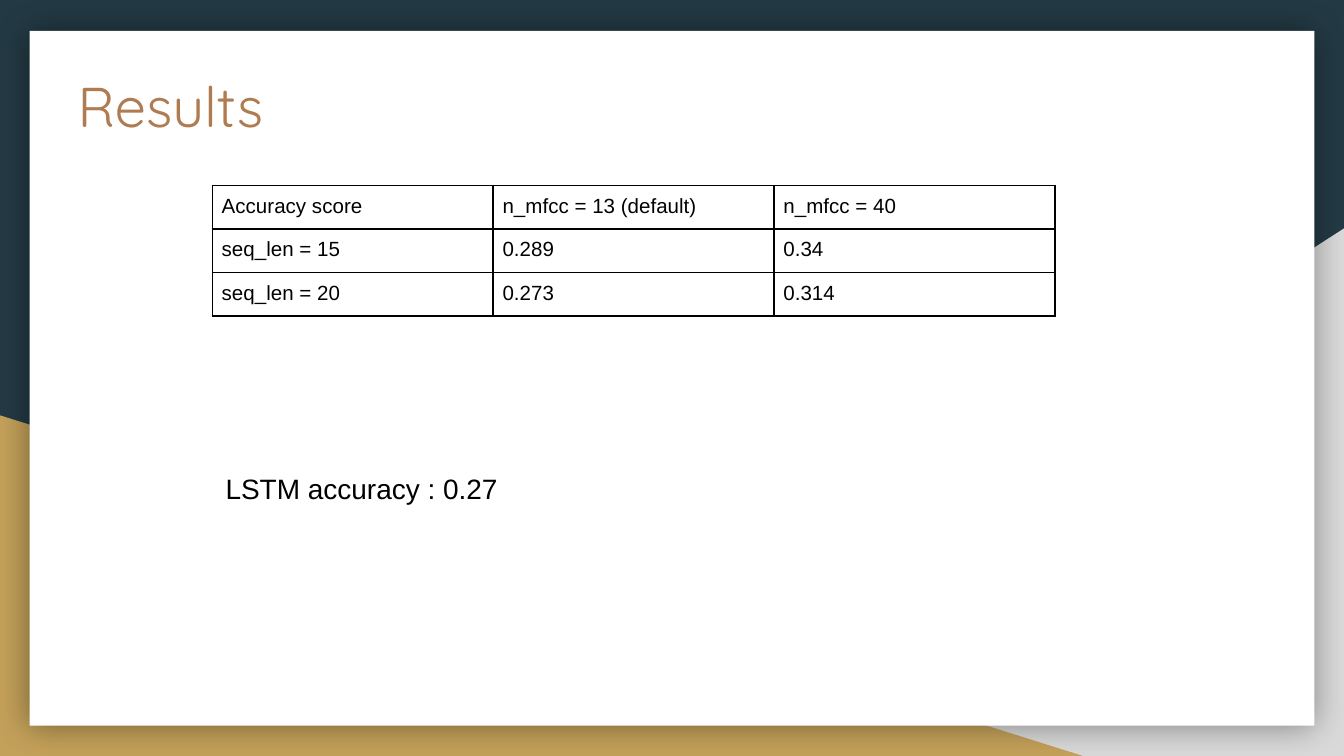
import lxml.etree
import pptx
import pptx.dml.color
import pptx.enum.shapes
import pptx.enum.text
import pptx.oxml
import pptx.oxml.ns
import pptx.util

Inches = pptx.util.Inches
Shape = pptx.enum.shapes.MSO_SHAPE
DRAWING = pptx.oxml.ns.nsdecls("a")
ROWS = [
    ["Accuracy score", "n_mfcc = 13 (default)", "n_mfcc = 40"],
    ["seq_len = 15", "0.289", "0.34"],
    ["seq_len = 20", "0.273", "0.314"],
]


def color(value):
    """Turn a hex string into a color."""
    return pptx.dml.color.RGBColor.from_string(value)


def style_run(run, size, font, value):
    """Set the size, typeface and color of a run."""
    run.font.size = pptx.util.Pt(size)
    run.font.name = font
    run.font.color.rgb = color(value)


def add_panel(page, kind, place, value):
    """Add a filled shape without outline or shadow."""
    panel = page.shapes.add_shape(kind, *map(Inches, place))
    panel.shadow.inherit = False
    panel.fill.solid()
    panel.fill.fore_color.rgb = color(value)
    panel.line.fill.background()
    return panel


def add_glow_shadow(panel, blur, opacity):
    """Give a shape a soft black shadow on all sides."""
    effects = panel._element.spPr.find(pptx.oxml.ns.qn("a:effectLst"))
    effects.append(pptx.oxml.parse_xml(
        f'<a:outerShdw {DRAWING} blurRad="{pptx.util.Pt(blur)}" dist="0" dir="0" '
        f'algn="ctr" rotWithShape="0"><a:srgbClr val="000000">'
        f'<a:alpha val="{opacity * 1000}"/></a:srgbClr></a:outerShdw>'))


def add_text(page, place, text, size, font, value):
    """Add a wrapping one-line text box and return its paragraph."""
    frame = page.shapes.add_textbox(*map(Inches, place)).text_frame
    frame.word_wrap = True
    frame.text = text
    frame.margin_left = frame.margin_right = Inches(0.1)
    frame.margin_top = frame.margin_bottom = Inches(0.1)
    frame.vertical_anchor = pptx.enum.text.MSO_ANCHOR.TOP
    style_run(frame.paragraphs[0].runs[0], size, font, value)
    return frame.paragraphs[0]


def add_borders(cell, value, width):
    """Draw a solid line on each side of a table cell."""
    properties = cell._tc.get_or_add_tcPr()
    for index, side in enumerate(("lnL", "lnR", "lnT", "lnB")):
        properties.insert(index, pptx.oxml.parse_xml(
            f'<a:{side} {DRAWING} w="{pptx.util.Pt(width)}"><a:solidFill>'
            f'<a:srgbClr val="{value}"/></a:solidFill></a:{side}>'))


def add_score_table(page, left, top, column_width, row_height):
    """Add the bordered score table, whose rows grow to fit their text."""
    columns = len(ROWS[0])
    table = page.shapes.add_table(
        len(ROWS), columns, Inches(left), Inches(top),
        Inches(column_width * columns), Inches(row_height * len(ROWS))).table
    table.first_row = False
    table.horz_banding = False
    for row, texts in enumerate(ROWS):
        for column, text in enumerate(texts):
            cell = table.cell(row, column)
            cell.fill.background()
            cell.margin_left = cell.margin_right = Inches(0.07)
            cell.margin_top = cell.margin_bottom = Inches(0.07)
            cell.text_frame.text = text
            style_run(cell.text_frame.paragraphs[0].runs[0], 11, "Arial", "000000")
            add_borders(cell, "000000", 1)


def main():
    """Build the results slide."""
    deck = pptx.Presentation()
    deck.slide_width = Inches(10)
    deck.slide_height = Inches(10) * 9 // 16
    page = deck.slides.add_slide(deck.slide_layouts[6])
    page.background.fill.solid()
    page.background.fill.fore_color.rgb = color("233A44")

    gray_corner = add_panel(page, Shape.RIGHT_TRIANGLE, (3.92, 1.7, 6.08, 3.92), "D9D9D9")
    gray_corner._element.spPr.xfrm.set("flipH", "1")
    add_panel(page, Shape.RIGHT_TRIANGLE, (0, 3.09, 8.06, 2.53), "C4A15A")
    for corner in list(page.shapes):
        corner.height = deck.slide_height - corner.top
    card = add_panel(page, Shape.RECTANGLE, (0.22, 0.23, 9.56, 5.17), "FFFFFF")
    add_glow_shadow(card, 18, 40)

    add_text(page, (0.48, 0.43, 8.21, 1.04), "Results", 30, "Quicksand", "AF7B51")
    add_score_table(page, 1.58, 1.38, 2.09, 0.01)
    accuracy = add_text(page, (1.58, 3.37, 4.67, 0.45), "LSTM accuracy : 0.27",
                        15, "Arial", "000000")
    accuracy.line_spacing = 1.15
    deck.save("out.pptx")


if __name__ == "__main__":
    main()
